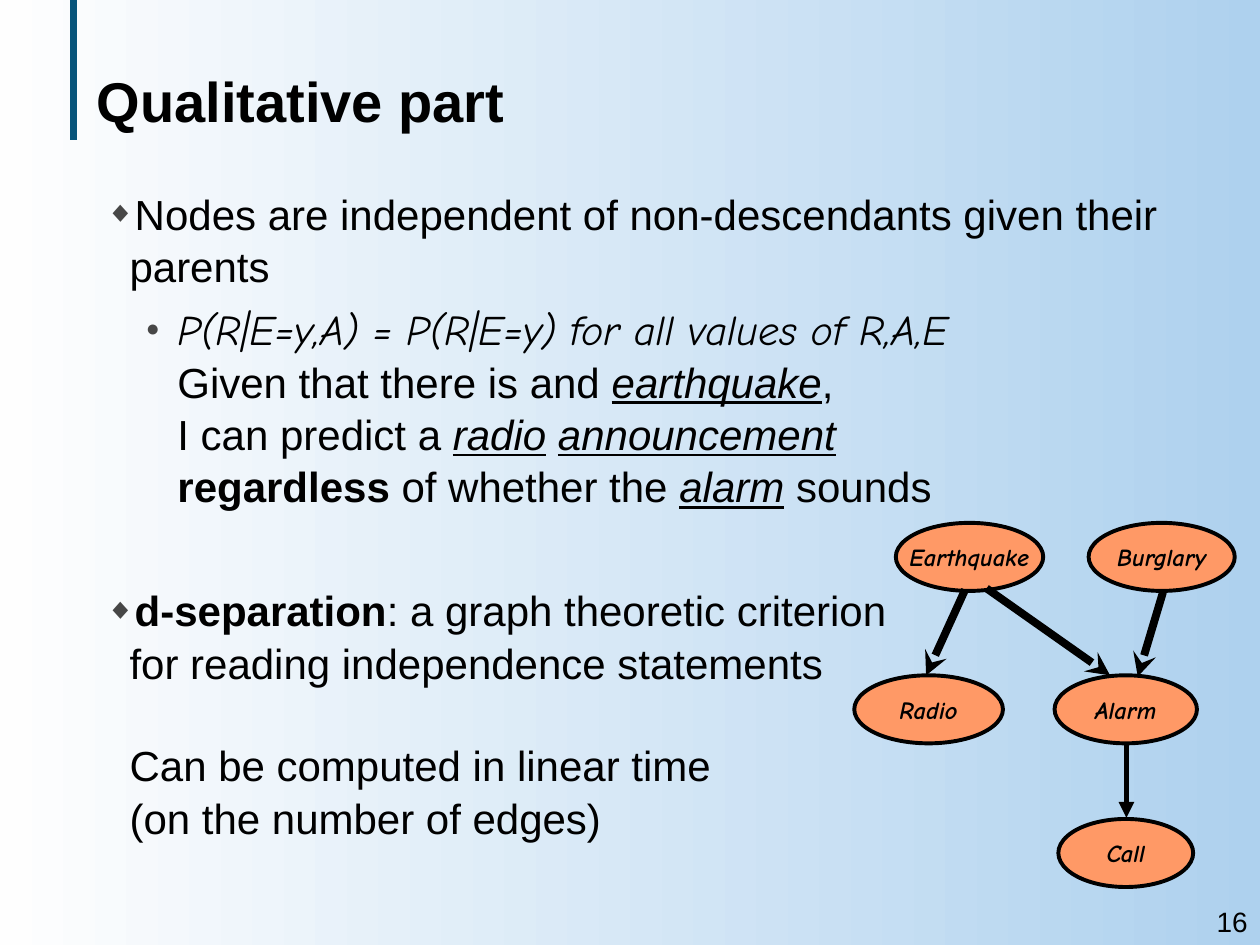
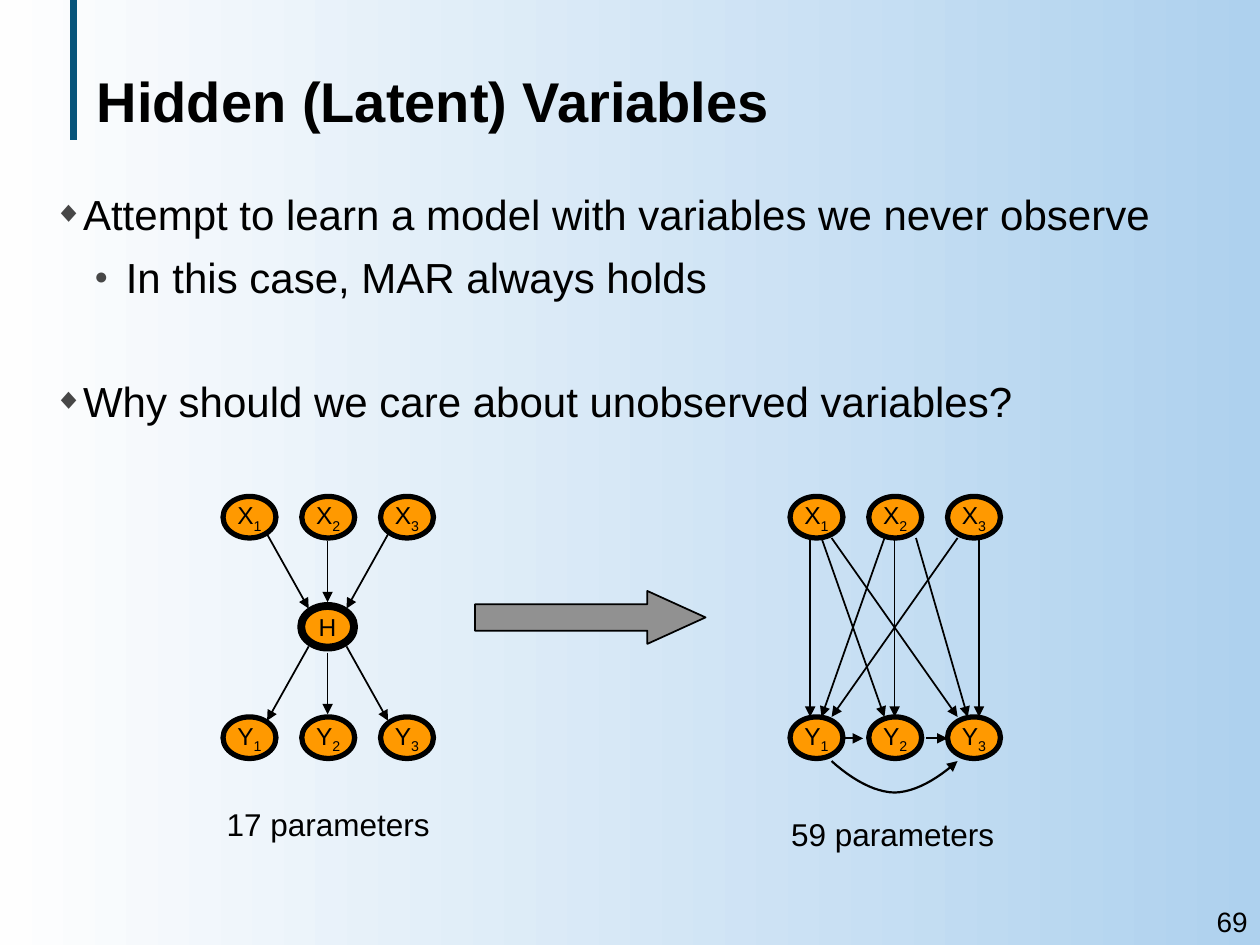
from dataclasses import dataclass
from lxml.etree import SubElement
from pptx import Presentation
from pptx.dml.color import RGBColor
from pptx.enum.shapes import MSO_CONNECTOR, MSO_SHAPE
from pptx.enum.text import MSO_ANCHOR, PP_ALIGN
from pptx.oxml.ns import qn
from pptx.util import Inches, Pt


@dataclass(frozen=True)
class Theme:
    black: RGBColor = RGBColor.from_string("000000")
    sky: RGBColor = RGBColor.from_string("AED1EE")
    white: RGBColor = RGBColor.from_string("FEFEFE")
    teal: RGBColor = RGBColor.from_string("07547A")
    peach: RGBColor = RGBColor.from_string("FF9966")
    orange: RGBColor = RGBColor.from_string("FF9900")
    gray: RGBColor = RGBColor.from_string("919191")
    bullet: str = "474747"
    sans: str = "Arial"
    comic: str = "Comic Neue"
    title: Pt = Pt(32)
    body: Pt = Pt(24)
    note: Pt = Pt(18)
    number: Pt = Pt(16)
    label: Pt = Pt(14)


theme = Theme()


def write(shape, paras, font, wrap=True, anchor=MSO_ANCHOR.MIDDLE):
    frame = shape.text_frame
    frame.word_wrap, frame.vertical_anchor = wrap, anchor
    for n, (runs, form) in enumerate(paras):
        para = frame.paragraphs[0] if n == 0 else frame.add_paragraph()
        form = dict(form)
        props = para._p.get_or_add_pPr()
        left, hang = form.pop("indent", (0, 0))
        props.set("marL", str(Inches(left)))
        props.set("indent", str(Inches(hang)))
        mark, size = form.pop("bullet", (None, 0))
        if mark:
            color = SubElement(props, qn("a:buClr"))
            SubElement(color, qn("a:srgbClr"), val=theme.bullet)
            SubElement(props, qn("a:buSzPct"), val=str(size * 1000))
            SubElement(props, qn("a:buFont"), typeface=theme.sans)
            SubElement(props, qn("a:buChar"), char=mark)
        for key, value in form.items():
            setattr(para, key, value)
        for text, style in runs:
            for i, part in enumerate(text.split("\n")):
                if i:
                    para.add_line_break()
                if not part:
                    continue
                run = para.add_run()
                run.text = part
                run.font.color.rgb = theme.black
                for key, value in {**font, **style}.items():
                    if key == "base":
                        run._r.get_or_add_rPr().set("baseline", str(value * 1000))
                    else:
                        setattr(run.font, key, value)


def link(slide, ends, width, head="triangle", color=theme.black):
    line = slide.shapes.add_connector(MSO_CONNECTOR.STRAIGHT, *map(Inches, ends))
    line.line.color.rgb = color
    line.line.width = Pt(width)
    SubElement(line._element.spPr, qn("a:effectLst"))
    if head:
        SubElement(line.line._get_or_add_ln(), qn("a:tailEnd"), type=head)


center = {"alignment": PP_ALIGN.CENTER}
em = {"italic": True, "underline": True}
bold = {"bold": True}
plain = {"line_spacing": 1.04, "indent": (0.19, 0)}
top = {**plain, "indent": (0.19, -0.19), "bullet": ("◆", 70)}
sub = {**plain, "indent": (0.57, -0.25), "bullet": ("●", 55), "space_before": Pt(6)}
gap = {"space_before": Pt(41)}

part_text = [
    ([("Nodes are independent of non-descendants given their parents", {})], top),
    ([
        ("P(R|E=y,A) = P(R|E=y) for all values of R,A,E", {"name": theme.comic, "italic": True}),
        ("\nGiven that there is and ", {}),
        ("earthquake", em),
        (",\nI can predict a ", {}),
        ("radio", em),
        (" ", {}),
        ("announcement", em),
        ("\n", {}),
        ("regardless", bold),
        (" of whether the ", {}),
        ("alarm", em),
        (" sounds", {}),
    ], sub),
    ([
        ("d-separation", bold),
        (": a graph theoretic criterion\nfor reading independence statements", {}),
    ], {**top, **gap}),
    ([("Can be computed in linear time\n(on the number of edges)", {})],
     {**plain, "space_before": Pt(28.7)}),
]
hidden_text = [
    ([("Attempt to learn a model with variables we never observe", {})], top),
    ([("In this case, MAR always holds", {})], sub),
    ([("Why should we care about unobserved variables?", {})], {**top, **gap}),
]

comic = {"name": theme.comic, "size": theme.label, "bold": True, "italic": True}
sans = {"name": theme.sans, "size": theme.label}
part_nodes = [
    ([(name, {})], box, theme.peach, 2.25, comic)
    for name, box in (
        ("Earthquake", (7.11, 4.15, 1.17, 0.54)),
        ("Radio", (6.78, 5.36, 1.18, 0.54)),
        ("Burglary", (8.64, 4.15, 1.16, 0.54)),
        ("Alarm", (8.37, 5.36, 1.13, 0.54)),
        ("Call", (8.4, 6.5, 1.07, 0.54)),
    )
]
hidden_nodes = [
    ([(name, {}), (str(i + 1), {"base": -25})],
     (left + 0.625 * i, y, 0.42, 0.33), theme.orange, 3, sans)
    for left in (1.77, 6.27)
    for name, y in (("X", 3.94), ("Y", 5.69))
    for i in range(3)
]
hidden_nodes.append(([("H", {})], (2.39, 4.81, 0.42, 0.33), theme.orange, 4.5, sans))

part_links = [
    ((7.66, 4.68, 7.35, 5.36), 4.5, "stealth"),
    ((7.83, 4.67, 8.81, 5.36), 4.5, "stealth"),
    ((9.23, 4.7, 9.03, 5.37), 4.5, "stealth"),
    ((8.94, 5.91, 8.94, 6.49), 3, "triangle"),
]
hidden_links = [
    (ends, 1, "triangle")
    for step in (-1, 0, 1)
    for out, near, y in ((0.48, 0.15, 0.05 * abs(step)),)
    for ends in (
        (2.6 + step * out, 4.29 - y, 2.6 + step * near, 4.78 + y),
        (2.6 + step * near, 5.18 - y, 2.6 + step * out, 5.67 + y),
    )
]
hidden_links += [
    ((start, 4.27, end, 5.69), 1, "triangle")
    for start, end in (
        (6.43, 6.43), (6.52, 7.02), (6.6, 7.6), (7.02, 6.52),
        (7.1, 7.1), (7.6, 6.6), (7.27, 7.68), (7.77, 7.77),
    )
]
hidden_links += [((x, 5.86, x + 0.17, 5.86), 1, "triangle") for x in (6.68, 7.35)]

deck = Presentation()
deck.slide_width, deck.slide_height = Inches(10), Inches(7.5)

for title, text, left, number, nodes, links in (
    ("Qualitative part", part_text, 0.74, "16", part_nodes, part_links),
    ("Hidden (Latent) Variables", hidden_text, 0.33, "69", hidden_nodes, hidden_links),
):
    slide = deck.slides.add_slide(deck.slide_layouts[6])
    back = slide.background.fill
    back.gradient()
    back.gradient_angle = 180
    for stop, color in zip(back.gradient_stops, (theme.sky, theme.white)):
        stop.color.rgb = color
    link(slide, (0.58, 0, 0.58, 1.11), 4, None, theme.teal)
    for box, paras, font, anchor in (
        ((0.67, 0.17, 8.92, 1.25), [([(title, bold)], {})],
         {"size": theme.title}, MSO_ANCHOR.MIDDLE),
        ((left, 1.43, 9.78 - left, 5.59), text, {"size": theme.body}, MSO_ANCHOR.TOP),
        ((8.99, 7.13, 1.01, 0.37), [([(number, {})], {"alignment": PP_ALIGN.RIGHT})],
         {"size": theme.number}, MSO_ANCHOR.MIDDLE),
    ):
        area = slide.shapes.add_textbox(*map(Inches, box))
        write(area, paras, {"name": theme.sans, **font}, anchor=anchor)
    for runs, box, fill, width, font in nodes:
        node = slide.shapes.add_shape(MSO_SHAPE.OVAL, *map(Inches, box))
        node.shadow.inherit = False
        node.fill.solid()
        node.fill.fore_color.rgb = fill
        node.line.color.rgb = theme.black
        node.line.width = Pt(width)
        write(node, [(runs, center)], font, wrap=False)
    for ends, width, head in links:
        link(slide, ends, width, head)

arrow = slide.shapes.add_shape(
    MSO_SHAPE.RIGHT_ARROW, *map(Inches, (3.77, 4.69, 1.83, 0.42)))
arrow.adjustments[0], arrow.adjustments[1] = 0.5, 1.1
arrow.fill.solid()
arrow.fill.fore_color.rgb = theme.gray

points = []
for n in range(25):
    t = n / 24
    points.append((Inches(6.6 + t), Inches(6.04 + 0.25 * (1 - abs(2 * t - 1) ** 1.8))))
build = slide.shapes.build_freeform(*points[0])
build.add_line_segments(points[1:], close=False)
curve = build.convert_to_shape()
curve.fill.background()
for shape, width in ((arrow, 1), (curve, 1.25)):
    shape.shadow.inherit = False
    shape.line.color.rgb = theme.black
    shape.line.width = Pt(width)
SubElement(curve.line._get_or_add_ln(), qn("a:tailEnd"), type="triangle")

for count, x, y in (("17", 1.7, 6.34), ("59", 6.18, 6.42)):
    note = slide.shapes.add_textbox(*map(Inches, (x, y, 1.81, 0.4)))
    write(note, [([(f"{count} parameters", {})], center)],
          {"name": theme.sans, "size": theme.note}, wrap=False)

deck.save("out.pptx")
